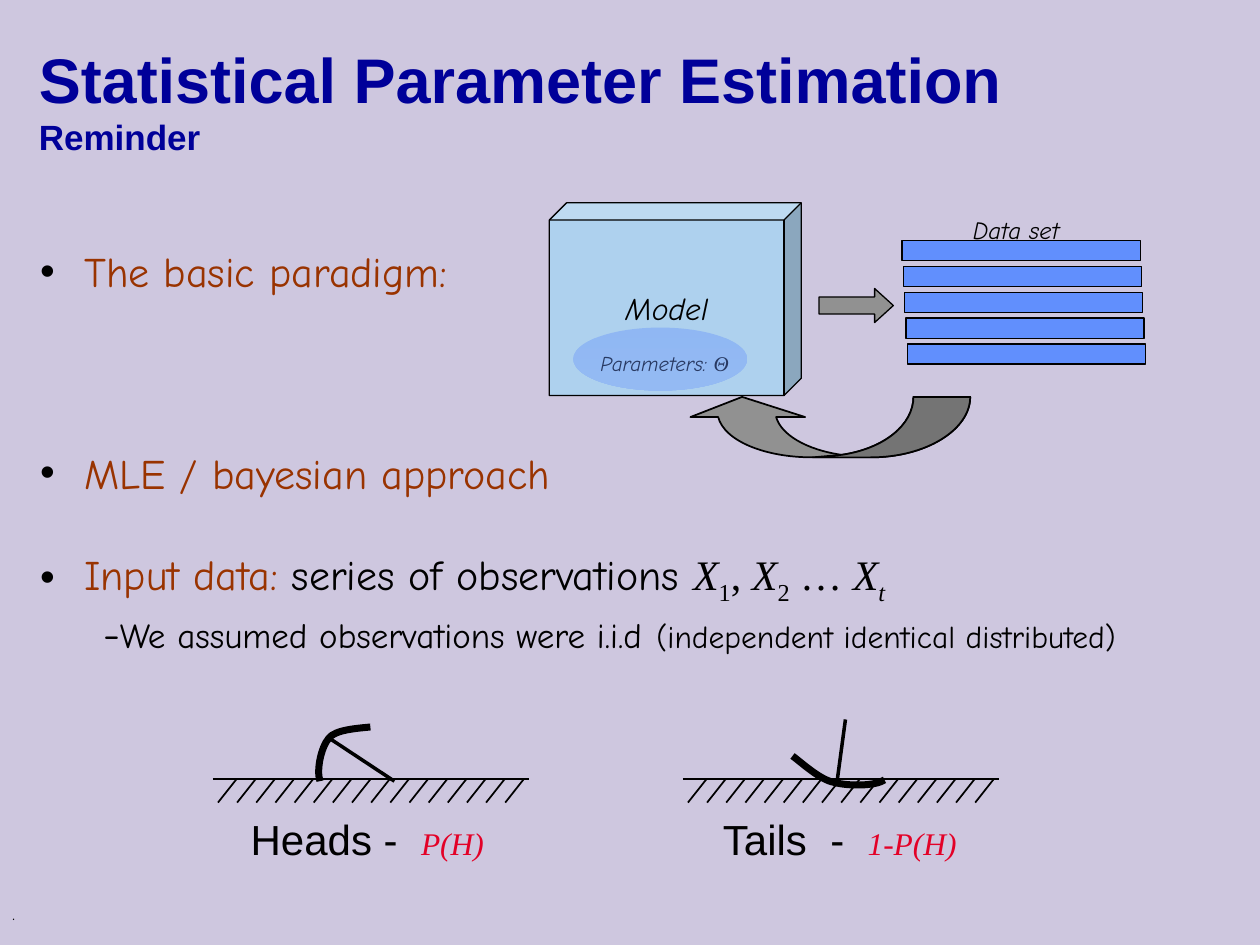
"""Build the slide on statistical parameter estimation."""
from lxml.etree import SubElement
from pptx import Presentation
from pptx.dml.color import RGBColor
from pptx.enum.shapes import MSO_CONNECTOR, MSO_SHAPE
from pptx.enum.text import MSO_ANCHOR, PP_ALIGN
from pptx.oxml.ns import qn
from pptx.util import Inches, Pt

color = RGBColor.from_string
COMIC, TIMES, ARIAL = "Comic Neue", "Times New Roman", "Arial"
BLACK, BROWN, NAVY, RED, BLUE = "000000", "993300", "000099", "E30127", "618FFD"


def write(para, runs):
    for text, size, face, tint, *marks in runs:
        run = para.add_run()
        run.text = text
        font = run.font
        font.size, font.name = Pt(size), face
        font.color.rgb = color(tint)
        font.bold, font.italic = "b" in marks, "i" in marks
        for key, value in (("sub", ("baseline", "-25000")), ("wide", ("spc", "667"))):
            if key in marks:
                run._r.get_or_add_rPr().set(*value)


def trace(rings, closed, fill, width):
    pen = shapes.build_freeform(Inches(rings[0][0][0]), Inches(rings[0][0][1]))
    for i, (start, parts) in enumerate(rings):
        if i:
            pen.move_to(Inches(start[0]), Inches(start[1]))
        pen.add_line_segments([(Inches(part[k]), Inches(part[k + 1])) for part in parts
                               for k in range(0, len(part), 2)], close=closed)
    form = pen.convert_to_shape()
    first = next(form._element.iter(qn("a:path")))
    nodes = iter(list(first))
    for i, (start, parts) in enumerate(rings):
        ring = first
        if i:
            ring = SubElement(first.getparent(), qn("a:path"), w=first.get("w"),
                              h=first.get("h"), fill="darkenLess")
        ring.append(next(nodes))
        for part in parts:
            if len(part) == 2:
                ring.append(next(nodes))
                continue
            curve = SubElement(ring, qn("a:cubicBezTo"))
            for _ in range(3):
                node = next(nodes)
                curve.append(node[0])
                first.remove(node)
        if closed:
            ring.append(next(nodes))
    form.shadow.inherit = False
    if fill:
        form.fill.solid()
        form.fill.fore_color.rgb = color(fill)
    else:
        form.fill.background()
    form.line.color.rgb = color(BLACK)
    form.line.width = Pt(width)


deck = Presentation()
deck.slide_width, deck.slide_height = Inches(10), Inches(7.5)
slide = deck.slides.add_slide(deck.slide_layouts[6])
slide.background.fill.solid()
slide.background.fill.fore_color.rgb = color("CEC7DF")
shapes = slide.shapes

body = shapes.add_textbox(Inches(0.22), Inches(1.9), Inches(9.78), Inches(3.36))
frame = body.text_frame
frame.word_wrap = True
math = [("X", 24, TIMES, BLACK, "i"), ("1", 24, TIMES, BLACK, "sub"),
        (", ", 24, TIMES, BLACK), ("X", 24, TIMES, BLACK, "i"),
        ("2", 24, TIMES, BLACK, "sub"), (" … ", 24, TIMES, BLACK),
        ("X", 24, TIMES, BLACK, "i"), ("t", 24, TIMES, BLACK, "i", "sub")]
points = [
    (0, True, [("The basic paradigm:", 24, COMIC, BROWN)]),
    (86, True, [("MLE / bayesian approach", 24, COMIC, BROWN)]),
    (33, True, [("Input data:", 24, COMIC, BROWN),
                (" series of observations ", 24, COMIC, BLACK)] + math),
    (0, False, [("-", 24, COMIC, BLACK),
                ("We assumed observations were i.i.d", 20, COMIC, BLACK),
                (" ", 24, COMIC, BLACK),
                ("(independent identical distributed)", 18, COMIC, BLACK)]),
]
for i, (gap, dot, runs) in enumerate(points):
    para = frame.paragraphs[0] if i == 0 else frame.add_paragraph()
    para.space_before, para.line_spacing = Pt(gap), Pt(29)
    props = para._p.get_or_add_pPr()
    if dot:
        props.set("marL", str(Inches(0.35)))
        props.set("indent", str(-Inches(0.35)))
        tint = SubElement(props, qn("a:buClr"))
        SubElement(tint, qn("a:srgbClr"), val=BLACK)
        SubElement(props, qn("a:buFont"), typeface=ARIAL)
        SubElement(props, qn("a:buChar"), char="•")
    else:
        para.level = 1
        props.set("marL", str(Inches(0.5)))
        props.set("indent", "0")
        SubElement(props, qn("a:buNone"))
    write(para, runs)

blocks = [(MSO_SHAPE.RECTANGLE, 7.16 + 0.01 * i, 1.91 + 0.205 * i, 1.89, 0.16, BLUE, ())
          for i in range(5)]
blocks += [(MSO_SHAPE.CUBE, 4.36, 1.61, 2, 1.53, "AED1EE", (0.09,)),
           (MSO_SHAPE.RIGHT_ARROW, 6.5, 2.29, 0.59, 0.27, "919191", (0.5, 0.55))]
for kind, x, y, w, h, fill, tweaks in blocks:
    block = shapes.add_shape(kind, Inches(x), Inches(y), Inches(w), Inches(h))
    block.shadow.inherit = False
    block.fill.solid()
    block.fill.fore_color.rgb = color(fill)
    block.line.color.rgb = color(BLACK)
    block.line.width = Pt(0.75)
    for i, tweak in enumerate(tweaks):
        block.adjustments[i] = tweak
    if kind == MSO_SHAPE.CUBE:
        block.text_frame.word_wrap = False
        block.text_frame.vertical_anchor = MSO_ANCHOR.MIDDLE
        para = block.text_frame.paragraphs[0]
        para.alignment = PP_ALIGN.CENTER
        write(para, [("Model", 18, COMIC, BLACK, "i")])

labels = [
    (0, 7, 2.89, 0.5, "left", [(".", 10, COMIC, BLACK)]),
    (0.21, 0.16, 8.5, 1.25, "left", [("Statistical Parameter Estimation\v", 36, ARIAL, NAVY, "b"),
                                     ("Reminder", 20, ARIAL, NAVY, "b")]),
    (7.62, 1.65, 0.89, 0.34, "mid", [("Data set", 14, COMIC, BLACK, "i")]),
    (4.66, 2.73, 1.23, 0.3, "mid", [("Parameters: ", 12, COMIC, BLACK, "i"),
                                    ("Θ", 12, TIMES, BLACK, "i")]),
    (1.89, 6.41, 2.05, 0.5, "mid", [("Heads -", 24, ARIAL, BLACK),
                                    (" ", 24, ARIAL, BLACK, "wide"),
                                    ("P(H)", 18, TIMES, RED, "i")]),
    (5.62, 6.41, 2.09, 0.5, "mid", [("Tails", 24, ARIAL, BLACK),
                                    (" ", 24, ARIAL, BLACK, "wide"),
                                    ("-", 24, ARIAL, BLACK),
                                    (" ", 24, ARIAL, BLACK, "wide"),
                                    ("1-P(H)", 18, TIMES, RED, "i")]),
]
for x, y, w, h, side, runs in labels:
    label = shapes.add_textbox(Inches(x), Inches(y), Inches(w), Inches(h))
    frame = label.text_frame
    frame.word_wrap = side == "left"
    frame.vertical_anchor = MSO_ANCHOR.MIDDLE
    para = frame.paragraphs[0]
    para.alignment = PP_ALIGN.LEFT if side == "left" else PP_ALIGN.CENTER
    if runs[0][0].endswith("\v"):
        write(para, [(runs[0][0].strip(),) + runs[0][1:]])
        para.add_line_break()
        write(para, runs[1:])
    else:
        write(para, runs)

oval = shapes.add_shape(MSO_SHAPE.OVAL, Inches(4.55), Inches(2.6), Inches(1.38), Inches(0.5))
oval.shadow.inherit = False
oval.line.fill.background()
oval.fill.gradient()
oval.fill.gradient_angle = 270
for stop, tint in zip(oval.fill.gradient_stops, (BLUE, "6D98FD")):
    stop.color.rgb = color(tint)
for node in oval._element.spPr.iter(qn("a:srgbClr")):
    SubElement(node, qn("a:alpha"), val="39000")

sweep = [(7.7, 3.41, 7.35, 3.63, 6.91, 3.63)]
tail = [(6.68, 3.61), (7.02, 3.56, 7.25, 3.37, 7.25, 3.15)]
hook = [(6.45, 3.63), (6.07, 3.63, 5.75, 3.5, 5.7, 3.31), (5.48, 3.31), (5.89, 3.15),
        (6.39, 3.31), (6.16, 3.31), (6.2, 3.45, 6.4, 3.57, 6.68, 3.61)]
trace([((7.7, 3.15), sweep + hook + tail[1:]),
       ((7.7, 3.15), sweep + [(6.45, 3.63)] + tail)], True, "919191", 1)

lines = [(2.63, 5.87, 3.13, 6.2, 2), (6.64, 6.23, 6.71, 5.71, 2)]
for x, y in ((1.69, 6.18), (5.42, 6.18)):
    lines.append((x, y, x + 2.51, y, 1))
    for i in range(16):
        top = x + 0.19 + 2.28 * i / 15
        lines.append((top, y, top - 0.15, y + 0.19, 1))
for x, y, x2, y2, width in lines:
    line = shapes.add_connector(MSO_CONNECTOR.STRAIGHT, Inches(x), Inches(y),
                                Inches(x2), Inches(y2))
    line.line.color.rgb = color(BLACK)
    line.line.width = Pt(width)
    SubElement(line._element.spPr, qn("a:effectLst"))

heads = [(2.51, 6.11, 2.55, 5.93, 2.61, 5.86), (2.66, 5.79, 2.85, 5.78, 2.94, 5.77)]
tails = [(6.95, 6.24, 6.73, 6.24, 6.62, 6.21), (6.51, 6.19, 6.37, 6.06, 6.29, 6)]
trace([((2.54, 6.2), heads)], False, None, 4)
trace([((7.02, 6.19), tails)], False, None, 4)

deck.save("out.pptx")
